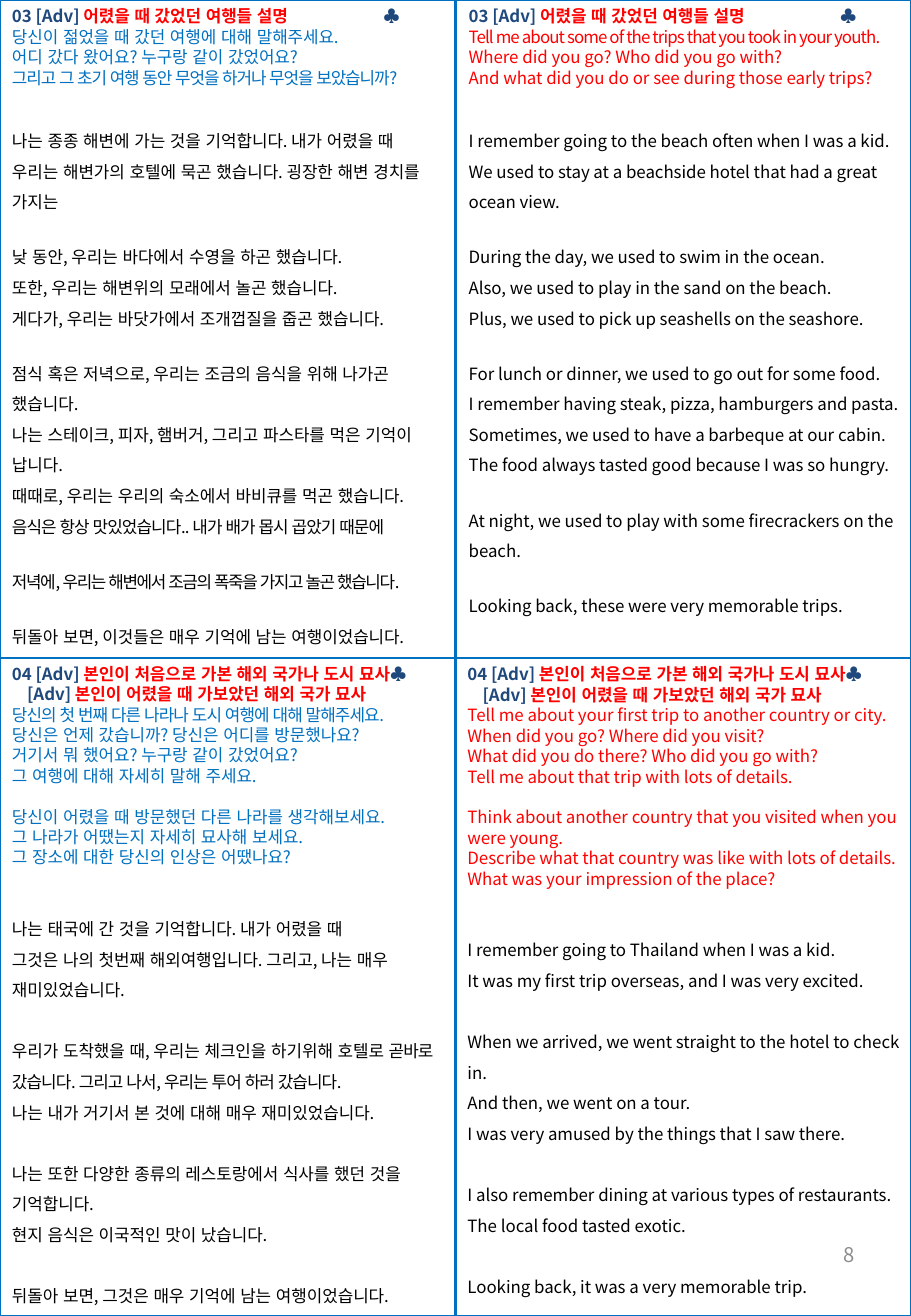
from lxml.etree import SubElement
from pptx import Presentation
from pptx.dml.color import RGBColor as RGB
from pptx.enum.lang import MSO_LANGUAGE_ID as Lang
from pptx.enum.shapes import MSO_CONNECTOR as Link, MSO_SHAPE as Shape
from pptx.enum.text import MSO_ANCHOR as Anchor, MSO_AUTO_SIZE as Auto, PP_ALIGN as Align
from pptx.oxml.ns import qn
from pptx.util import Pt

THEME = {
    "font": "Noto Sans CJK KR",
    "navy": "1F497D", "red": "FF0000", "blue": "0070C0",
    "black": "000000", "grey": "8C8C8C",
    "body": 10, "page": 12, "rule": 1.5,
    "line": 12.1, "loose": 18.15,
}
WIDE, HIGH = 540, 780
CLUB_TAB, INDENT = 220, 9

TRIP = [("03 [Adv] ", "어렸을 때 갔었던 여행들 설명", "\t♣")]
ABROAD = [
    ("04 [Adv] ", "본인이 처음으로 가본 해외 국가나 도시 묘사", "♣"),
    ("[Adv] ", "본인이 어렸을 때 가보았던 해외 국가 묘사", ""),
]

# A line is a string, or a list of (text, letter spacing) pieces.
# Lines are held in groups; "blank" is the type size that sets the gap between groups.
PANES = [
    {"left": 0, "top": 0, "tall": 385, "head": TRIP, "hue": "blue", "blank": 8,
     "ask": [[
         "당신이 젊었을 때 갔던 여행에 대해 말해주세요.",
         "어디 갔다 왔어요? 누구랑 같이 갔었어요?",
         [("그리고 그 초기 여행 동안 무엇을 하거나 무엇을 보았습니까?", -0.6)],
     ]],
     "tale": [
         ["나는 종종 해변에 가는 것을 기억합니다. 내가 어렸을 때",
          "우리는 해변가의 호텔에 묵곤 했습니다. 굉장한 해변 경치를 가지는"],
         ["낮 동안, 우리는 바다에서 수영을 하곤 했습니다.",
          "또한, 우리는 해변위의 모래에서 놀곤 했습니다.",
          "게다가, 우리는 바닷가에서 조개껍질을 줍곤 했습니다."],
         ["점식 혹은 저녁으로, 우리는 조금의 음식을 위해 나가곤 했습니다.",
          "나는 스테이크, 피자, 햄버거, 그리고 파스타를 먹은 기억이 납니다.",
          "때때로, 우리는 우리의 숙소에서 바비큐를 먹곤 했습니다.",
          [("음식은 항상 맛있었습니다.. 내가 배가 몹시 곱았기 때문에", -0.5)]],
         [[("저녁에, 우리는 해변에서 조금의 폭죽을 가지고 놀곤 했습니다.", -0.8)]],
         ["뒤돌아 보면, 이것들은 매우 기억에 남는 여행이었습니다."],
     ]},
    {"left": 270.7, "top": 0, "tall": 371, "head": TRIP, "hue": "red", "blank": 8,
     "ask": [[
         [("Tell me about some of the trips that you took in your youth.", -0.5)],
         "Where did you go? Who did you go with?",
         "And what did you do or see during those early trips?",
     ]],
     "tale": [
         ["I remember going to the beach often when I was a kid.",
          "We used to stay at a beachside hotel that had a great ocean view."],
         ["During the day, we used to swim in the ocean.",
          "Also, we used to play in the sand on the beach.",
          "Plus, we used to pick up seashells on the seashore."],
         ["For lunch or dinner, we used to go out for some food.",
          "I remember having steak, pizza, hamburgers and pasta.",
          "Sometimes, we used to have a barbeque at our cabin.",
          "The food always tasted good because I was so hungry."],
         ["At night, we used to play with some firecrackers on the beach."],
         ["Looking back, these were very memorable trips."],
     ]},
    {"left": 0, "top": 389.5, "tall": 387, "head": ABROAD, "hue": "blue", "blank": 10,
     "ask": [
         [[("당신의 첫 번째 다른 나라나 도시 여행에 대해 말해주세요.", -0.5)],
          "당신은 언제 갔습니까? 당신은 어디를 방문했나요?",
          "거기서 뭐 했어요? 누구랑 같이 갔었어요?",
          "그 여행에 대해 자세히 말해 주세요."],
         ["당신이 어렸을 때 방문했던 다른 나라를 생각해보세요.",
          "그 나라가 어땠는지 자세히 묘사해 보세요.",
          "그 장소에 대한 당신의 인상은 어땠나요?"],
     ],
     "tale": [
         ["나는 태국에 간 것을 기억합니다. 내가 어렸을 때",
          "그것은 나의 첫번째 해외여행입니다. 그리고, 나는 매우 재미있었습니다."],
         [[("우리가 도착했을 때, 우리는 체크인을 하기위해 호텔로 ", 0),
           ("곧바로 갔습니다. 그리고 나서, 우리는 투어 하러 갔습니다.", -0.5)],
          "나는 내가 거기서 본 것에 대해 매우 재미있었습니다."],
         ["나는 또한 다양한 종류의 레스토랑에서 식사를 했던 것을 기억합니다.",
          "현지 음식은 이국적인 맛이 났습니다."],
         ["뒤돌아 보면, 그것은 매우 기억에 남는 여행이었습니다."],
     ]},
    {"left": 270, "top": 390, "tall": 392, "head": ABROAD, "hue": "red", "blank": 10,
     "ask": [
         ["Tell me about your first trip to another country or city.",
          "When did you go? Where did you visit?",
          "What did you do there? Who did you go with?",
          "Tell me about that trip with lots of details."],
         ["Think about another country that you visited when you were young.",
          "Describe what that country was like with lots of details.",
          "What was your impression of the place?"],
     ],
     "tale": [
         ["I remember going to Thailand when I was a kid.",
          "It was my first trip overseas, and I was very excited."],
         ["When we arrived, we went straight to the hotel to check in.",
          "And then, we went on a tour.",
          "I was very amused by the things that I saw there."],
         ["I also remember dining at various types of restaurants.",
          "The local food tasted exotic."],
         ["Looking back, it was a very memorable trip."],
     ]},
]


def ink(name):
    return RGB.from_string(THEME[name])


def add_run(para, text, hue, size="body", bold=False, track=0):
    run = para.add_run()
    run.text = text
    font = run.font
    font.size, font.bold = Pt(THEME[size]), bold
    font.color.rgb = ink(hue)
    font.name = THEME["font"]
    font.language_id = Lang.KOREAN
    props = run._r.get_or_add_rPr()
    SubElement(props, qn("a:ea"), typeface=THEME["font"])
    if track:
        props.set("spc", str(round(track * 100)))


def add_para(frame, step, gap=0):
    """Return the next paragraph, using the empty first one if it is free."""
    first = frame.paragraphs[0]
    para = frame.add_paragraph() if first.runs else first
    para.line_spacing = Pt(THEME[step])
    if gap:
        para.space_before = Pt(round(gap, 2))
    return para


def add_groups(frame, groups, hue, step, first, rest):
    """Write groups of lines, with a gap ahead of the first and of the rest."""
    for i, group in enumerate(groups):
        for j, line in enumerate(group):
            gap = 0 if j else rest if i else first
            para = add_para(frame, step, gap)
            for text, track in [(line, 0)] if isinstance(line, str) else line:
                add_run(para, text, hue, track=track)


def add_head(frame, rows):
    for i, (tag, title, club) in enumerate(rows):
        para = add_para(frame, "line")
        props = para._p.get_or_add_pPr()
        if i:
            props.set("marL", str(Pt(INDENT)))
        if club.startswith("\t"):
            tabs = SubElement(props, qn("a:tabLst"))
            SubElement(tabs, qn("a:tab"), pos=str(Pt(CLUB_TAB)), algn="l")
        for text, hue in ((tag, "navy"), (title, "red"), (club, "navy")):
            if text:
                add_run(para, text, hue, bold=True)


def add_box(slide, *place):
    frame = slide.shapes.add_textbox(*map(Pt, place)).text_frame
    frame.word_wrap = True
    return frame


def add_pane(slide, pane):
    frame = add_box(slide, pane["left"], pane["top"], WIDE / 2, pane["tall"])
    frame.auto_size = Auto.SHAPE_TO_FIT_TEXT
    blank = pane["blank"] * THEME["line"] / THEME["body"]
    add_head(frame, pane["head"])
    add_groups(frame, pane["ask"], pane["hue"], "line", 0, blank)
    add_groups(frame, pane["tale"], "black", "loose", 2 * blank, 1.5 * blank)


def add_frame(slide):
    for ends in ((0, HIGH / 2, WIDE, HIGH / 2), (WIDE / 2, 0, WIDE / 2, HIGH)):
        rule = slide.shapes.add_connector(Link.STRAIGHT, *map(Pt, ends))
        rule.line.color.rgb, rule.line.width = ink("blue"), Pt(THEME["rule"])
        SubElement(rule._element.spPr, qn("a:effectLst"))
    edge = slide.shapes.add_shape(Shape.RECTANGLE, 0, 0, Pt(WIDE), Pt(HIGH))
    edge.shadow.inherit = False
    edge.fill.background()
    edge.line.color.rgb, edge.line.width = ink("blue"), Pt(THEME["rule"])


def main():
    deck = Presentation()
    deck.slide_width, deck.slide_height = Pt(WIDE), Pt(HIGH)
    slide = deck.slides.add_slide(deck.slide_layouts[6])
    add_frame(slide)
    page = add_box(slide, 387.5, 723, 126, 41.5)
    page.vertical_anchor = Anchor.MIDDLE
    page.paragraphs[0].alignment = Align.RIGHT
    add_run(page.paragraphs[0], "8", "grey", "page")
    for pane in PANES:
        add_pane(slide, pane)
    deck.save("out.pptx")


if __name__ == "__main__":
    main()
